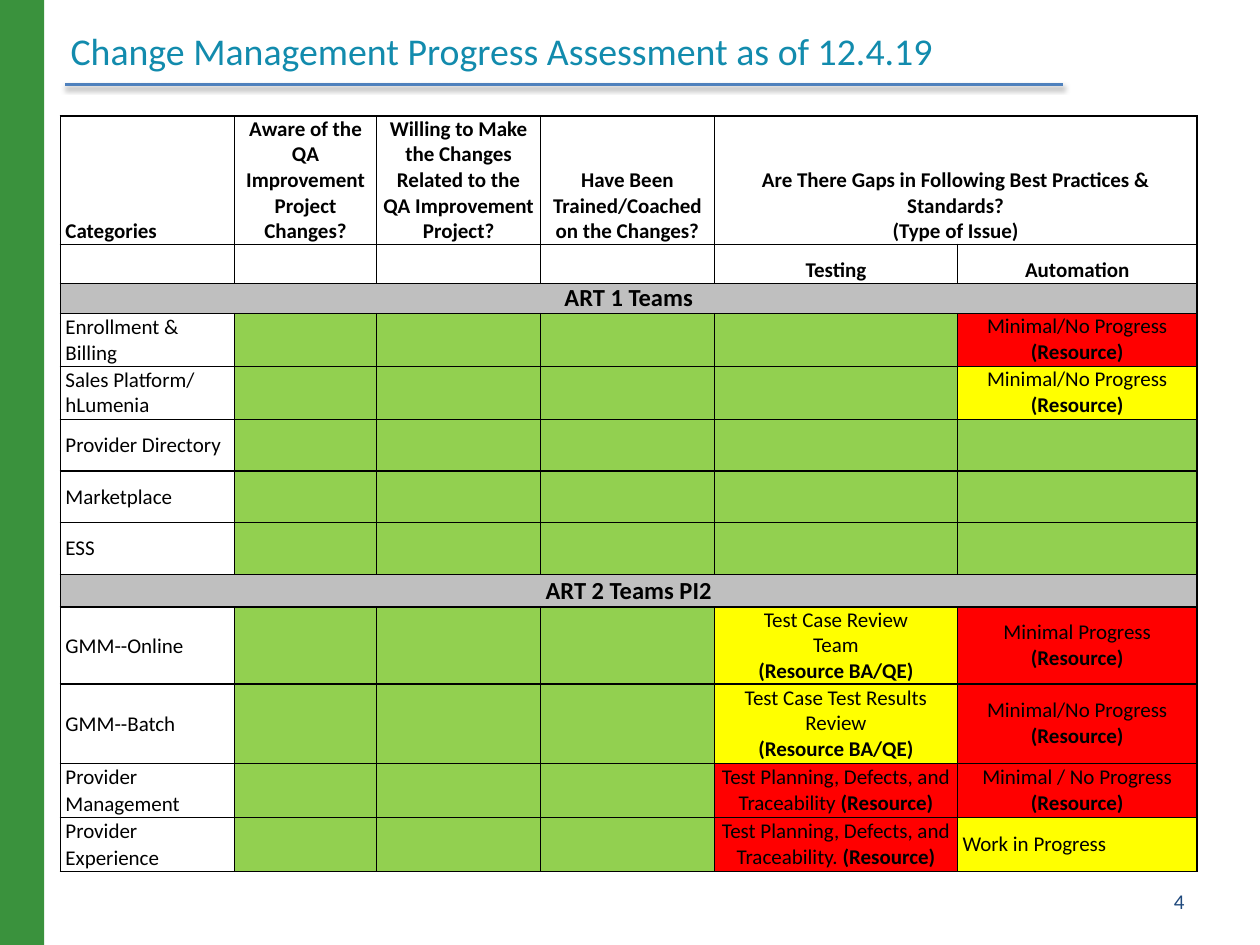
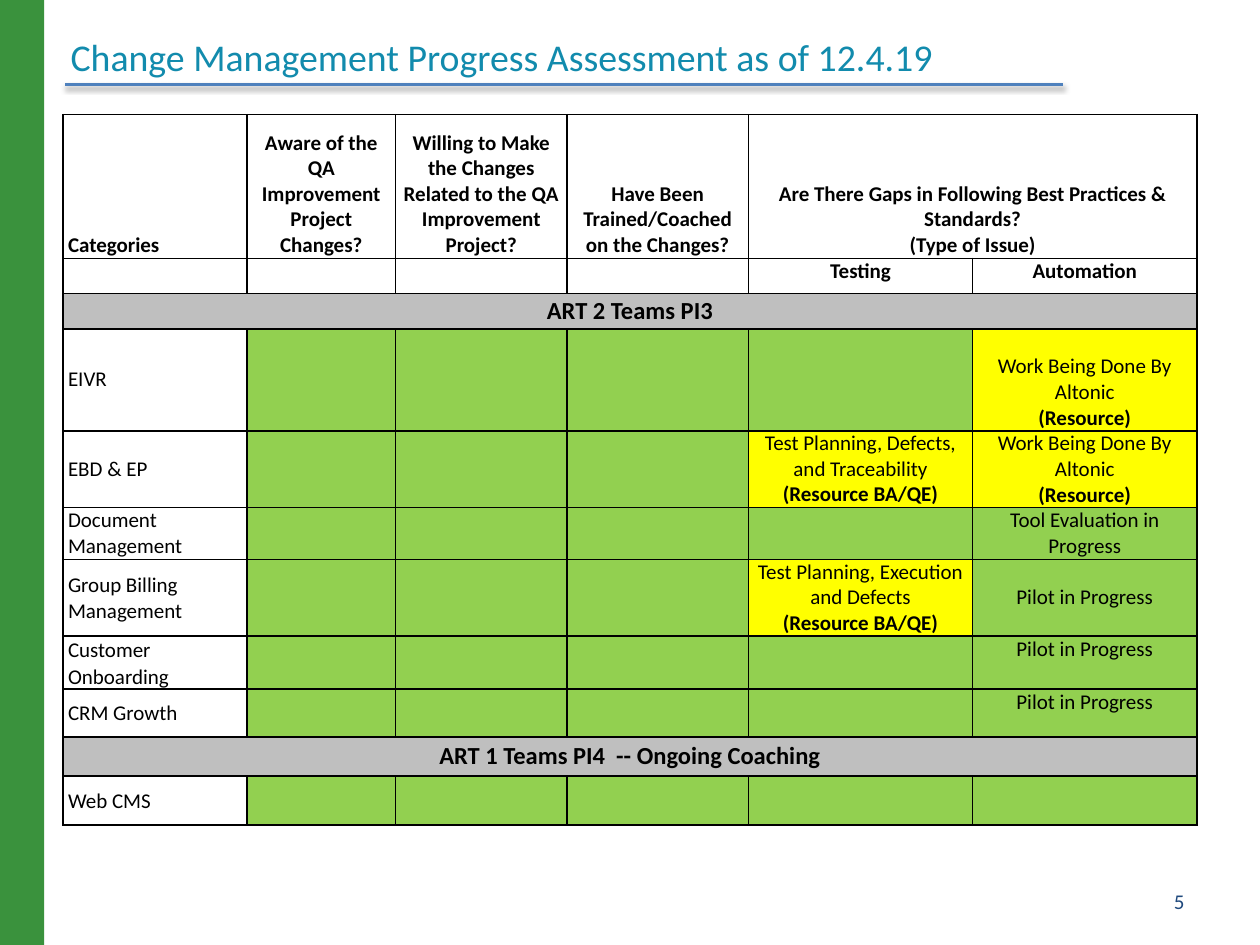
from dataclasses import dataclass

from lxml import etree
from pptx import Presentation
from pptx.dml.color import RGBColor
from pptx.enum.shapes import MSO_CONNECTOR, MSO_SHAPE
from pptx.enum.text import MSO_ANCHOR as ANCHOR, MSO_AUTO_SIZE, PP_ALIGN as ALIGN
from pptx.oxml.ns import qn
from pptx.util import Inches, Pt


@dataclass(frozen=True)
class Theme:
    font: str = "Calibri"
    side_bar: str = "3A923D"
    title: str = "128BAD"
    rule: str = "4F81BD"
    page: str = "1F497D"
    ink: str = "000000"
    section: str = "BFBFBF"
    green: str = "92D050"
    yellow: str = "FFFF00"
    red: str = "FF0000"
    title_size: float = 21.6
    section_size: float = 14
    body_size: float = 12
    border: float = 1


THEME = Theme()


@dataclass(frozen=True)
class Status:
    """A rating; text from an opening bracket on is set in bold."""
    fill: str = THEME.green
    text: str = ""
    anchor: ANCHOR = ANCHOR.MIDDLE
    align: ALIGN = ALIGN.CENTER
    side: float = 0.04
    top: float = 0


@dataclass(frozen=True)
class Section:
    name: str
    height: float


@dataclass(frozen=True)
class Team:
    name: str
    height: float
    testing: Status = Status()
    automation: Status = Status()
    spacing: float = 1.0


TITLE = "Change Management Progress Assessment as of 12.4.19"
QUESTIONS = [
    "Categories",
    "Aware of the QA Improvement Project Changes?",
    "Willing to Make the Changes Related to the QA Improvement Project?",
    "Have Been Trained/Coached on the Changes?",
    "Are There Gaps in Following Best Practices & Standards?\n(Type of Issue)",
]
GAP_KINDS = ["Testing", "Automation"]
GAP_COL = 4
LOOSE = 1.05

NO_PROGRESS = "Minimal/No Progress\n(Resource)"
VENDOR_WORK = "Work Being Done By Altonic\n(Resource)"
PILOT = "Pilot in Progress"
PILOT_TOP = Status(text=PILOT, anchor=ANCHOR.TOP)


class Deck:
    def __init__(self, theme):
        self.theme = theme
        self.prs = Presentation()
        self.prs.slide_width, self.prs.slide_height = Inches(10), Inches(7.5)
        self.slide = None

    def add_slide(self, title, title_top, page):
        self.slide = self.prs.slides.add_slide(self.prs.slide_layouts[5])
        self.side_bar()
        self.rule()
        self.title(title, title_top)
        self.page_number(page)

    def style(self, p, size, color, align=ALIGN.LEFT):
        p.alignment = align
        p.font.name, p.font.size = self.theme.font, Pt(size)
        p.font.color.rgb = RGBColor.from_string(color)

    def side_bar(self):
        sp = self.slide.shapes.add_shape(
            MSO_SHAPE.RECTANGLE, 0, 0, Inches(0.35), self.prs.slide_height)
        sp.shadow.inherit = False
        sp.fill.solid()
        sp.fill.fore_color.rgb = RGBColor.from_string(self.theme.side_bar)
        sp.line.fill.background()

    def rule(self):
        """Line under the title, with a soft shadow below it."""
        line = self.slide.shapes.add_connector(
            MSO_CONNECTOR.STRAIGHT, Inches(0.52), Inches(0.67), Inches(8.44), Inches(0.67))
        line.line.color.rgb = RGBColor.from_string(self.theme.rule)
        line.line.width = Pt(2)
        effects = etree.SubElement(line._element.spPr, qn("a:effectLst"))
        shadow = etree.SubElement(effects, qn("a:outerShdw"), blurRad=str(Pt(3.1)),
                                  dist=str(Pt(1.6)), dir="5400000", rotWithShape="0")
        color = etree.SubElement(shadow, qn("a:srgbClr"), val=self.theme.ink)
        etree.SubElement(color, qn("a:alpha"), val="38000")

    def title(self, text, top):
        sp = self.slide.shapes.title
        sp.left, sp.top = Inches(0.46), Inches(top)
        sp.width, sp.height = Inches(8.72), Inches(0.34)
        tf = sp.text_frame
        tf.text = text
        tf.auto_size = MSO_AUTO_SIZE.NONE
        tf.vertical_anchor = ANCHOR.BOTTOM
        tf.margin_top, tf.margin_bottom = 0, Inches(0.02)
        self.style(tf.paragraphs[0], self.theme.title_size, self.theme.title)

    def page_number(self, number):
        sp = self.slide.shapes.add_textbox(
            Inches(7.17), Inches(6.95), Inches(2.33), Inches(0.4))
        tf = sp.text_frame
        tf.word_wrap = True
        tf.vertical_anchor = ANCHOR.MIDDLE
        tf.text = str(number)
        self.style(tf.paragraphs[0], self.theme.body_size, self.theme.page, ALIGN.RIGHT)

    def borders(self, cell):
        tc_pr = cell._tc.get_or_add_tcPr()
        for i, side in enumerate(("lnL", "lnR", "lnT", "lnB")):
            ln = etree.Element(qn(f"a:{side}"), w=str(Pt(self.theme.border)))
            fill = etree.SubElement(ln, qn("a:solidFill"))
            etree.SubElement(fill, qn("a:srgbClr"), val=self.theme.ink)
            tc_pr.insert(i, ln)

    def cell(self, cell, text, fill=None, anchor=ANCHOR.MIDDLE, align=ALIGN.LEFT,
             size=None, bold=False, spacing=1.0, side=0.04, top=0):
        cell.vertical_anchor = anchor
        cell.margin_left = cell.margin_right = Inches(side)
        cell.margin_top, cell.margin_bottom = Inches(top), 0
        if fill:
            cell.fill.solid()
            cell.fill.fore_color.rgb = RGBColor.from_string(fill)
        tf = cell.text_frame
        for i, line in enumerate(text.split("\n")):
            p = tf.add_paragraph() if i else tf.paragraphs[0]
            self.style(p, size or self.theme.body_size, self.theme.ink, align)
            p.line_spacing = spacing
            plain, bracket, note = line.partition("(")
            for part, strong in ((plain, bold), (bracket + note, True)):
                if part:
                    r = p.add_run()
                    r.text, r.font.bold = part, strong

    def header(self, table, kind_anchor):
        for col, question in enumerate(QUESTIONS):
            self.cell(table.cell(0, col), question, anchor=ANCHOR.BOTTOM, bold=True,
                      align=ALIGN.CENTER if col else ALIGN.LEFT)
        table.cell(0, GAP_COL).merge(table.cell(0, GAP_COL + 1))
        for col, kind in enumerate([""] * GAP_COL + GAP_KINDS):
            self.cell(table.cell(1, col), kind, anchor=kind_anchor,
                      align=ALIGN.CENTER, bold=True)

    def section_row(self, cells, section):
        cells[0].merge(cells[-1])
        self.cell(cells[0], section.name, self.theme.section, align=ALIGN.CENTER,
                  size=self.theme.section_size, bold=True)

    def team_row(self, cells, team):
        self.cell(cells[0], team.name, spacing=team.spacing)
        ratings = [Status()] * 3 + [team.testing, team.automation]
        for cell, s in zip(cells[1:], ratings):
            self.cell(cell, s.text, s.fill, s.anchor, s.align, side=s.side, top=s.top)

    def progress_table(self, left, top, widths, header_heights, rows, kind_anchor):
        heights = header_heights + [row.height for row in rows]
        table = self.slide.shapes.add_table(
            len(heights), len(widths), Inches(left), Inches(top),
            Inches(sum(widths)), Inches(sum(heights))).table
        table.first_row = table.horz_banding = False
        for column, width in zip(table.columns, widths):
            column.width = Inches(width)
        for row, height in zip(table.rows, heights):
            row.height = Inches(height)
        for cell in table.iter_cells():
            cell.fill.background()
            self.borders(cell)
        self.header(table, kind_anchor)
        for i, row in enumerate(rows, start=len(header_heights)):
            cells = [table.cell(i, col) for col in range(len(widths))]
            draw = self.section_row if isinstance(row, Section) else self.team_row
            draw(cells, row)


def first_teams(deck):
    red, yellow = deck.theme.red, deck.theme.yellow
    deck.add_slide(TITLE, 0.26, 4)
    deck.progress_table(
        0.48, 0.92, [1.38, 1.13, 1.3, 1.38, 1.93, 1.9], [1.02, 0.31],
        [
            Section("ART 1 Teams", 0.24),
            Team("Enrollment & Billing", 0.42,
                 automation=Status(red, NO_PROGRESS, ANCHOR.TOP)),
            Team("Sales Platform/ hLumenia", 0.42,
                 automation=Status(yellow, NO_PROGRESS, ANCHOR.TOP)),
            Team("Provider Directory", 0.41),
            Team("Marketplace", 0.41),
            Team("ESS", 0.41),
            Section("ART 2 Teams PI2", 0.26),
            Team("GMM--Online", 0.61,
                 Status(yellow, "Test Case Review\nTeam\n(Resource BA/QE)"),
                 Status(red, "Minimal Progress\n(Resource)"), LOOSE),
            Team("GMM--Batch", 0.63,
                 Status(yellow, "Test Case Test Results Review\n(Resource BA/QE)"),
                 Status(red, NO_PROGRESS), LOOSE),
            Team("Provider Management", 0.43,
                 Status(red, "Test Planning, Defects, and Traceability (Resource)"),
                 Status(red, "Minimal / No Progress\n(Resource)"), LOOSE),
            Team("Provider Experience", 0.43,
                 Status(red, "Test Planning, Defects, and Traceability. (Resource)"),
                 Status(yellow, "Work in Progress", align=ALIGN.LEFT), LOOSE),
        ], ANCHOR.BOTTOM)


def later_teams(deck):
    yellow = deck.theme.yellow
    deck.add_slide(TITLE, 0.31, 5)
    deck.progress_table(
        0.5, 0.91, [1.46, 1.18, 1.36, 1.44, 1.78, 1.78], [1.14, 0.28],
        [
            Section("ART 2 Teams PI3", 0.28),
            Team("EIVR", 0.81, automation=Status(yellow, VENDOR_WORK, top=0.2)),
            Team("EBD & EP", 0.61,
                 Status(yellow, "Test Planning, Defects, and Traceability (Resource BA/QE)",
                        ANCHOR.TOP, side=0.05),
                 Status(yellow, VENDOR_WORK, side=0.05)),
            Team("Document Management", 0.41,
                 automation=Status(text="Tool Evaluation in Progress",
                                   anchor=ANCHOR.TOP, side=0.05)),
            Team("Group Billing Management", 0.61,
                 Status(yellow, "Test Planning, Execution and Defects\n(Resource BA/QE)",
                        ANCHOR.TOP),
                 Status(text=PILOT), LOOSE),
            Team("Customer Onboarding", 0.42, automation=PILOT_TOP, spacing=LOOSE),
            Team("CRM Growth", 0.38, automation=PILOT_TOP, spacing=LOOSE),
            Section("ART 1 Teams PI4  -- Ongoing Coaching", 0.31),
            Team("Web CMS", 0.39, spacing=LOOSE),
        ], ANCHOR.TOP)


def main():
    deck = Deck(THEME)
    first_teams(deck)
    later_teams(deck)
    deck.prs.save("out.pptx")


if __name__ == "__main__":
    main()
